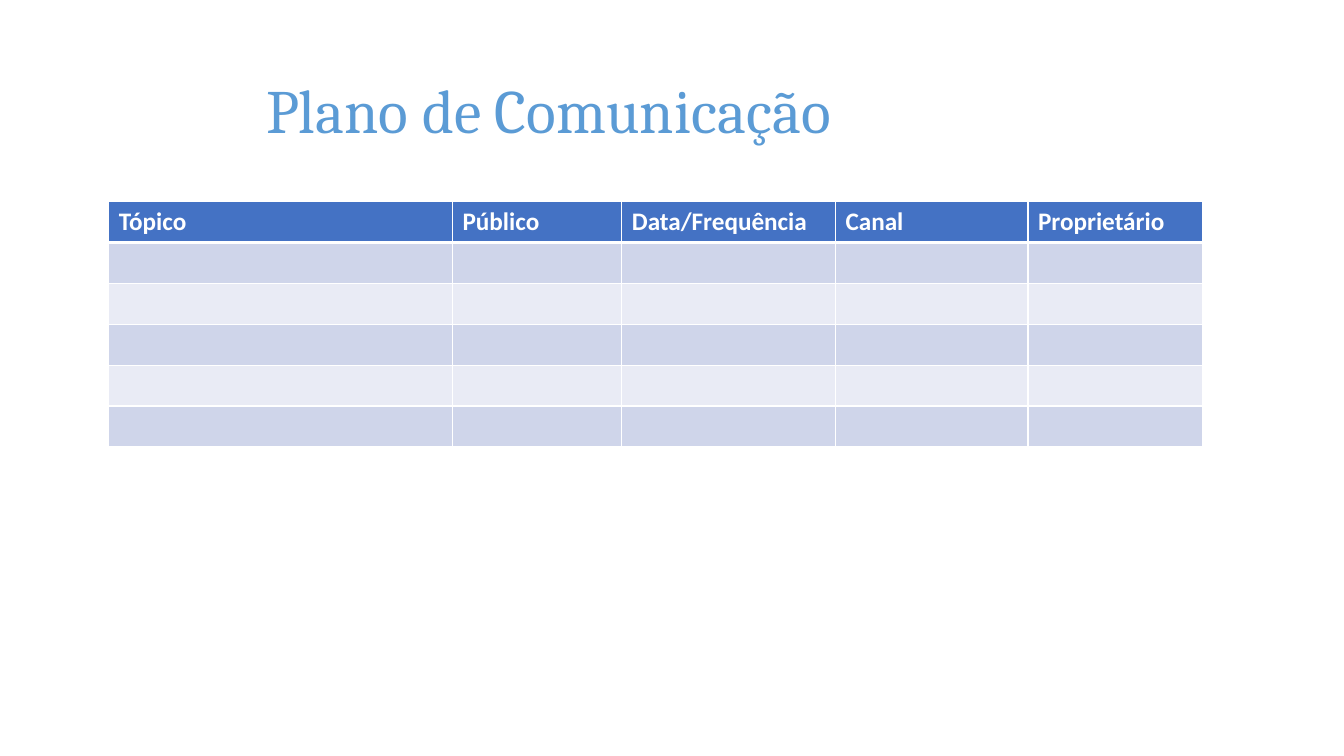
from dataclasses import dataclass

from lxml import etree
from pptx import Presentation
from pptx import util as u
from pptx.dml.color import RGBColor
from pptx.enum import text
from pptx.oxml import ns

PX = u.Inches(1) // 200
SLIDE_SIZE = (2667, 1500)
TITLE_BOX = (508, 80, 1976, 290)
TABLE_ORIGIN = (216, 400)
ROW_HEIGHT = 81
BLANK_ROWS = 5
COLUMNS = {
    "Tópico": 682,
    "Público": 336,
    "Data/Frequência": 424,
    "Canal": 382,
    "Proprietário": 346,
}


@dataclass(frozen=True)
class Theme:
    title_color: str = "5B9BD5"
    header_fill: str = "4472C4"
    bands: tuple = ("CFD5EA", "E9EBF5")
    white: str = "FFFFFF"
    title_font: str = "Cambria"
    body_font: str = "Calibri"
    title_size: int = 44
    body_size: int = 18
    thin: int = 1
    thick: int = 3


THEME = Theme()


def px(*lengths):
    return [n * PX for n in lengths]


def write(tf, content, *, font, size, color, bold=False, spacing=1.0):
    p = tf.paragraphs[0]
    p.alignment = text.PP_ALIGN.LEFT
    p.line_spacing = spacing
    r = p.add_run()
    r.text = content
    r.font.name = font
    r.font.size = u.Pt(size)
    r.font.bold = bold
    r.font.color.rgb = RGBColor.from_string(color)


def add_title(slide, content):
    sp = slide.shapes.title
    sp.left, sp.top, sp.width, sp.height = px(*TITLE_BOX)
    sp.text_frame.vertical_anchor = text.MSO_ANCHOR.MIDDLE
    write(sp.text_frame, content, font=THEME.title_font,
          size=THEME.title_size, color=THEME.title_color, spacing=0.9)


def set_border(cell, side, width):
    tc_pr = cell._tc.get_or_add_tcPr()
    ln = etree.SubElement(tc_pr, ns.qn(f"a:ln{side}"), w=str(u.Pt(width)))
    fill = etree.SubElement(ln, ns.qn("a:solidFill"))
    etree.SubElement(fill, ns.qn("a:srgbClr"), val=THEME.white)


def style_cell(cell, row):
    widths = {"L": THEME.thin, "R": THEME.thin,
              "T": THEME.thick if row == 1 else THEME.thin,
              "B": THEME.thick if row == 0 else THEME.thin}
    for side, width in widths.items():
        set_border(cell, side, width)
    color = THEME.bands[(row - 1) % 2] if row else THEME.header_fill
    cell.fill.solid()
    cell.fill.fore_color.rgb = RGBColor.from_string(color)


def add_plan_table(slide):
    rows = BLANK_ROWS + 1
    size = px(sum(COLUMNS.values()), rows * ROW_HEIGHT)
    table = slide.shapes.add_table(
        rows, len(COLUMNS), *px(*TABLE_ORIGIN), *size).table
    for i, (heading, width) in enumerate(COLUMNS.items()):
        table.columns[i].width = width * PX
        write(table.cell(0, i).text_frame, heading, font=THEME.body_font,
              size=THEME.body_size, color=THEME.white, bold=True)
    for i, row in enumerate(table.rows):
        row.height = ROW_HEIGHT * PX
        for cell in row.cells:
            style_cell(cell, i)


def main():
    prs = Presentation()
    prs.slide_width, prs.slide_height = px(*SLIDE_SIZE)
    slide = prs.slides.add_slide(prs.slide_layouts.get_by_name("Title Only"))
    add_title(slide, "Plano de Comunicação")
    add_plan_table(slide)
    prs.save("out.pptx")


if __name__ == "__main__":
    main()
